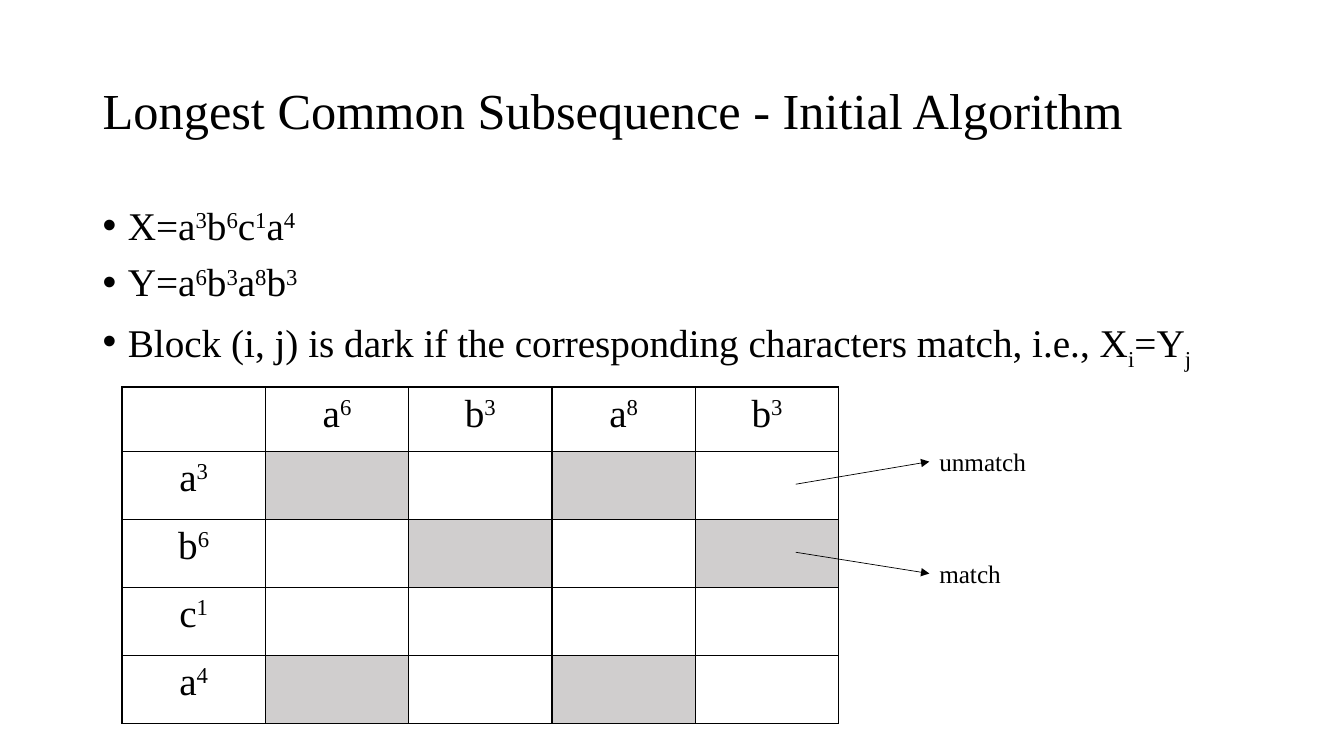
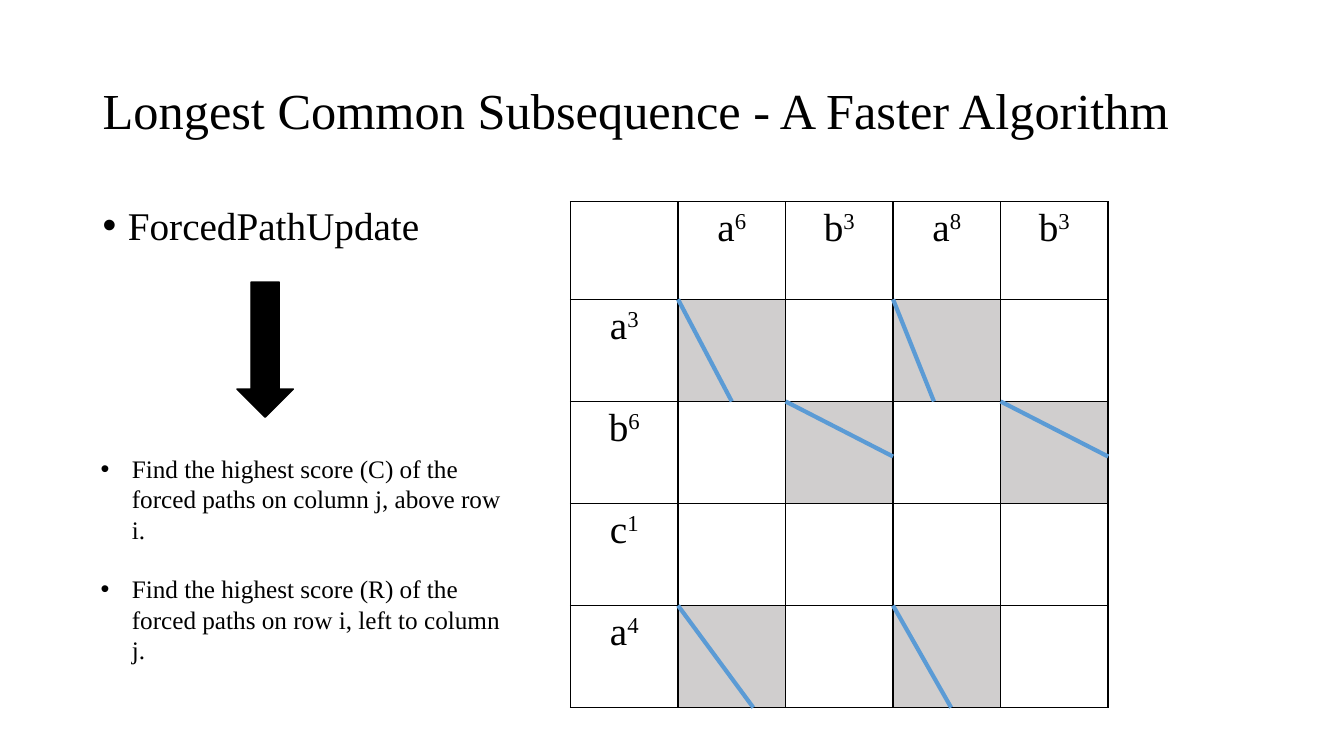
import pptx
import pptx.util
import pptx.dml.color
import pptx.enum.shapes
import pptx.enum.text
import lxml.etree
import pptx.oxml.ns

WIDE, HIGH = pptx.util.Inches(13.33), pptx.util.Inches(7.5)
FACE = "Times New Roman"
HUES = {"ink": "000000", "paper": "FFFFFF", "dark": "D0CECE", "path_line": "5B9BD5"}
LEAD = {"size": 36}
BODY = {"size": 28}
NOTE = {"size": 18}
SHIFT = {"^": "30000", "_": "-25000"}
TOP = ["a^6", "b^3", "a^8", "b^3"]
SIDE = ["a^3", "b^6", "c^1", "a^4"]
SLANTS = {(1, 1): (0.5, 1), (1, 3): (0.38, 1), (2, 2): (1, 0.54),
          (2, 4): (1, 0.54), (4, 1): (0.7, 1), (4, 3): (0.54, 1)}


def hue(key):
    """Return a named colour."""
    return pptx.dml.color.RGBColor.from_string(HUES[key])


def scale(box):
    """Turn percents of the slide's width and height into lengths."""
    return [round(part * (HIGH if i % 2 else WIDE) / 100)
            for i, part in enumerate(box)]


def node(root, tag, **attrs):
    """Add a drawing element to a parent."""
    return lxml.etree.SubElement(root, pptx.oxml.ns.qn(tag), attrs)


def style(thing, form):
    """Set each format value on an object."""
    for key, value in form.items():
        setattr(thing, key, value)


def write(para, text, look):
    """Write text in which ^ raises and _ lowers the next letter."""
    base, piece, parts = "0", "", []
    for sign in text:
        if sign in SHIFT:
            parts.append((piece, "0"))
            base, piece = SHIFT[sign], ""
        elif base != "0":
            parts.append((sign, base))
            base = "0"
        else:
            piece += sign
    parts.append((piece, "0"))
    for words, base in parts:
        if words:
            run = para.add_run()
            run.text = words
            style(run.font, {"name": FACE, "size": pptx.util.Pt(look["size"])})
            run.font.color.rgb = hue("ink")
            if base != "0":
                run.font._element.set("baseline", base)


def prose(slide, box, lines, look, form=None, gap=0, dent=0, wrap=True, mid=False):
    """Place a text box, with bullets when an indent is given."""
    shape = slide.shapes.add_textbox(*scale(box))
    frame = shape.text_frame
    anchor = pptx.enum.text.MSO_ANCHOR
    style(frame, {"word_wrap": wrap,
                  "vertical_anchor": anchor.MIDDLE if mid else anchor.TOP})
    for i, text in enumerate(lines):
        para = frame.add_paragraph() if i else frame.paragraphs[0]
        if dent:
            props = para._p.get_or_add_pPr()
            inset = pptx.util.Inches(dent)
            props.set("marL", str(inset))
            props.set("indent", str(-inset))
            node(props, "a:buFont", typeface="Arial")
            node(props, "a:buChar", char="•")
        style(para, form or {})
        if i:
            para.space_before = pptx.util.Pt(gap)
        write(para, text, look)
    return shape


def rule(slide, start, end, key, width, head=False):
    """Draw a straight line, with an arrowhead if wanted."""
    kind = pptx.enum.shapes.MSO_CONNECTOR.STRAIGHT
    line = slide.shapes.add_connector(kind, *scale(start + end))
    line.line.color.rgb = hue(key)
    line.line.width = pptx.util.Pt(width)
    if head:
        node(line.line._get_or_add_ln(), "a:tailEnd", type="triangle")
    node(line._element.spPr, "a:effectLst")
    return line


def border(cell):
    """Draw thin lines round a cell."""
    props = cell._tc.get_or_add_tcPr()
    for edge in ("a:lnL", "a:lnR", "a:lnT", "a:lnB"):
        line = node(props, edge, w=str(pptx.util.Pt(1)))
        node(node(line, "a:solidFill"), "a:srgbClr", val=HUES["ink"])


def grid(slide, box, head):
    """Place the block table and return a finder of points in its cells."""
    left, top, width, height = box
    count, deep = len(TOP) + 1, len(SIDE) + 1
    step, row = width / count, (height - head) / len(SIDE)
    table = slide.shapes.add_table(deep, count, *scale(box)).table
    style(table, {"first_row": False, "horz_banding": False})
    for col in table.columns:
        col.width = round(step * WIDE / 100)
    for r in range(deep):
        table.rows[r].height = round((row if r else head) * HIGH / 100)
        for c in range(count):
            cell = table.cell(r, c)
            border(cell)
            match = r and c and SIDE[r - 1][0] == TOP[c - 1][0]
            cell.fill.solid()
            cell.fill.fore_color.rgb = hue("dark" if match else "paper")
            text = SIDE[r - 1] if r and not c else TOP[c - 1] if c and not r else ""
            if text:
                para = cell.text_frame.paragraphs[0]
                para.alignment = pptx.enum.text.PP_ALIGN.CENTER
                write(para, text, BODY)

    def spot(r, c, across=0, down=0):
        """Find the point at a share of a body cell."""
        return (left + (c + across) * step, top + head + (r - 1 + down) * row)

    return spot


def page(deck, title, points):
    """Add a slide with its title and main points."""
    slide = deck.slides.add_slide(deck.slide_layouts[6])
    tight = {"line_spacing": 0.9}
    prose(slide, (6.9, 5.33, 86.25, 19.33), [title], LEAD, tight, mid=True)
    prose(slide, (6.9, 26.67, 86.25, 63.47), points, BODY, tight, gap=10, dent=0.25)
    return slide


def first(deck):
    """Build the slide on matching blocks."""
    slide = page(deck, "Longest Common Subsequence - Initial Algorithm", [
        "X=a^3b^6c^1a^4", "Y=a^6b^3a^8b^3",
        "Block (i, j) is dark if the corresponding characters match, i.e., X_i=Y_j"])
    spot = grid(slide, (9.08, 51.2, 53.33, 44.53), 8.53)
    for row, text, top in ((1, "unmatch", 58.4), (2, "match", 73.2)):
        label = prose(slide, (69.15, top, 10, 5.33), [text], NOTE)
        arrow = rule(slide, spot(row, 4, 0.7, 0.48), (69.15, top + 2.67),
                     "ink", 0.5, head=True)
        arrow.end_connect(label, 1)


def second(deck):
    """Build the slide on forced paths."""
    slide = page(deck, "Longest Common Subsequence - A Faster Algorithm",
                 ["ForcedPathUpdate"])
    spot = grid(slide, (42.45, 26.67, 40, 66.93), 12.93)
    for cell, share in SLANTS.items():
        rule(slide, spot(*cell), spot(*cell, *share), "path_line", 3)
    kind = pptx.enum.shapes.MSO_SHAPE.DOWN_ARROW
    arrow = slide.shapes.add_shape(kind, *scale((17.63, 37.33, 4.2, 17.87)))
    arrow.shadow.inherit = False
    arrow.fill.solid()
    arrow.fill.fore_color.rgb = hue("ink")
    arrow.line.color.rgb = hue("ink")
    arrow.line.width = pptx.util.Pt(1)
    prose(slide, (6.75, 59.33, 31.28, 33.6), [
        "Find the highest score (C) of the forced paths on column j, above row i.",
        "Find the highest score (R) of the forced paths on row i, left to column j."],
        NOTE, gap=21, dent=0.31)


def main():
    """Build and save the deck."""
    deck = pptx.Presentation()
    style(deck, {"slide_width": WIDE, "slide_height": HIGH})
    first(deck)
    second(deck)
    deck.save("out.pptx")


if __name__ == "__main__":
    main()
